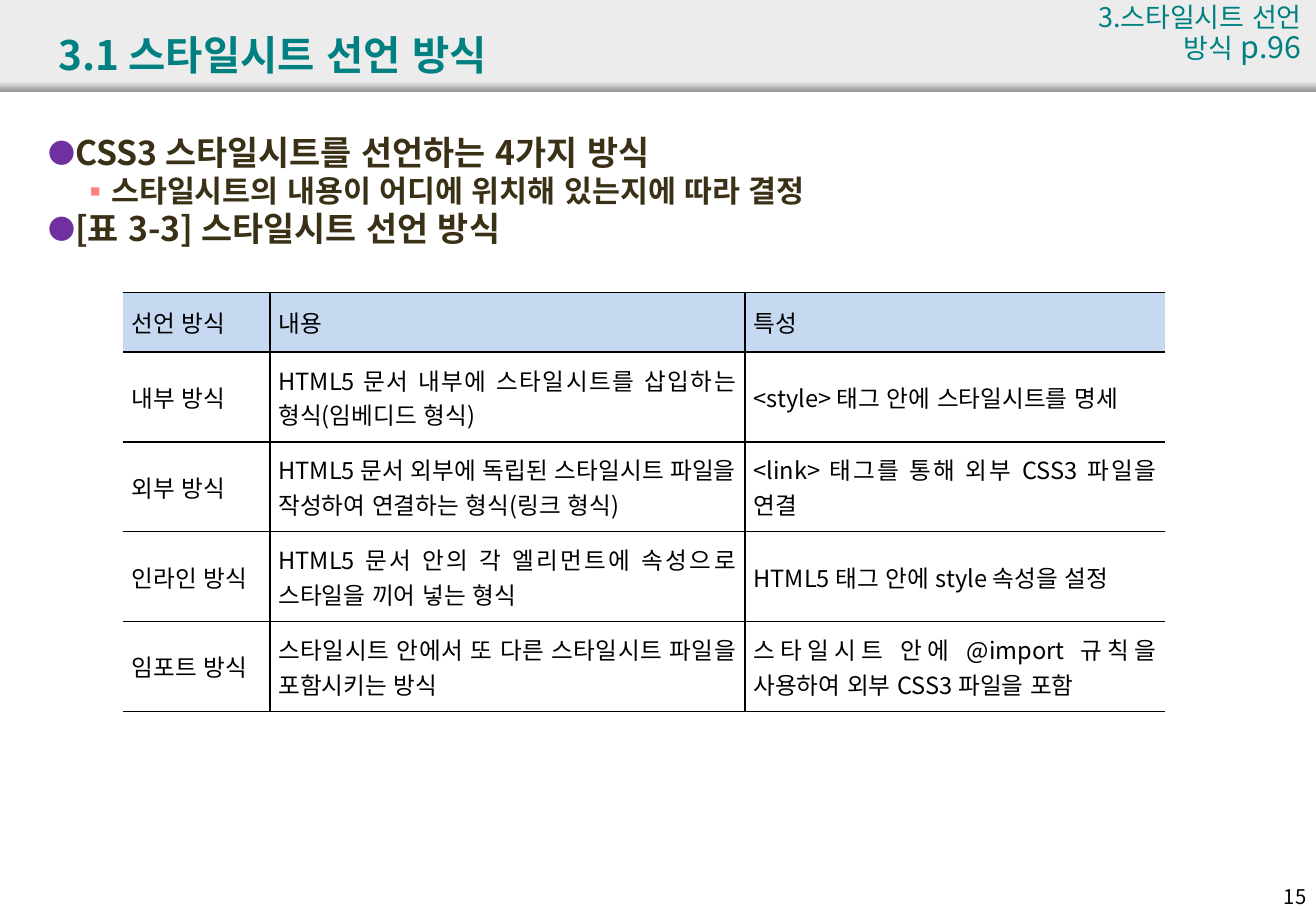
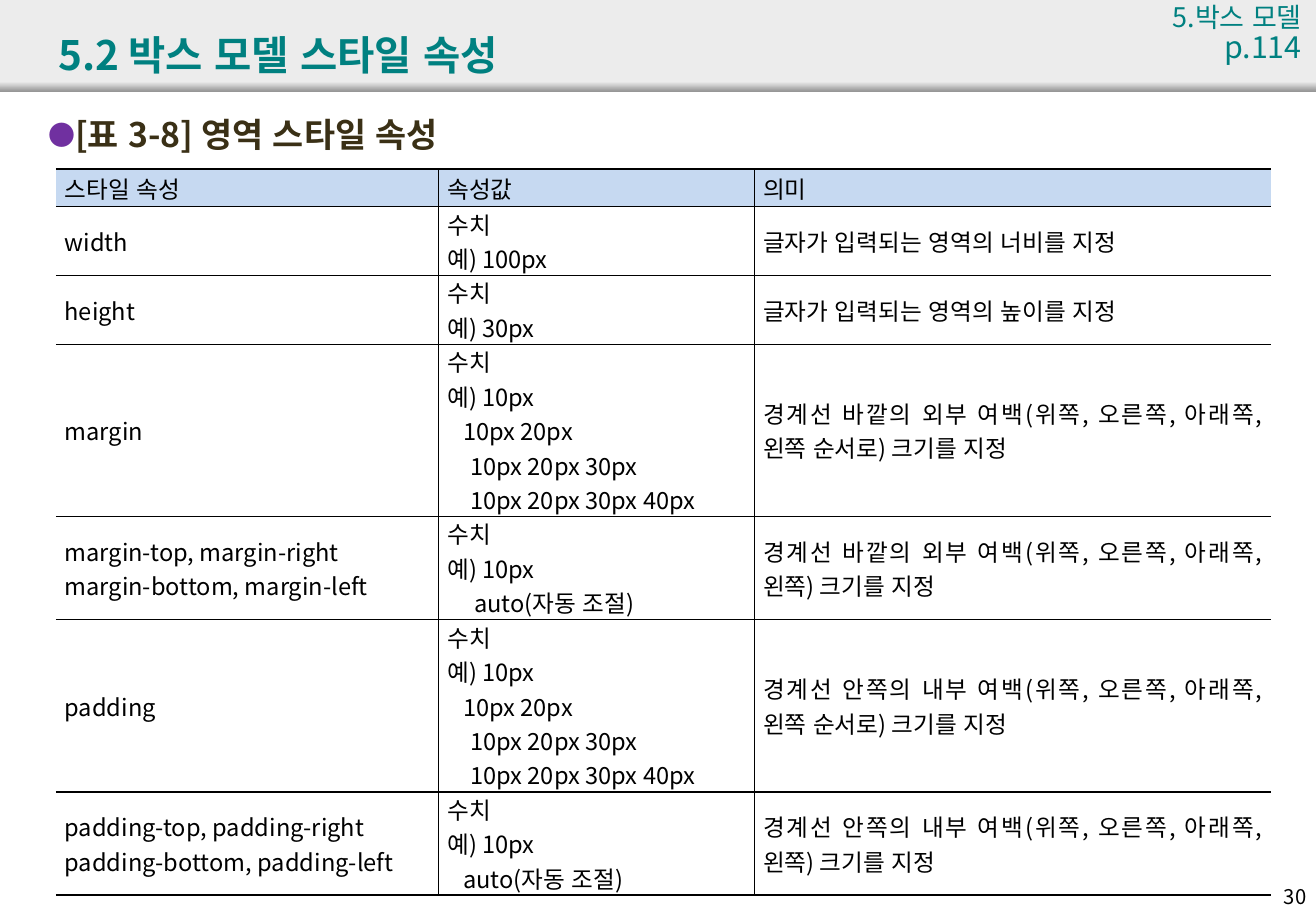
from pptx import Presentation
from pptx.dml.color import RGBColor as RGB
from pptx.enum.shapes import MSO_SHAPE as SHAPE
from pptx.enum.text import MSO_ANCHOR as ANCHOR, MSO_AUTO_SIZE as FIT, PP_ALIGN as ALIGN
from pptx.oxml.ns import qn
from pptx.util import Cm, Pt
from lxml.etree import SubElement as Sub

FONT = "Noto Sans CJK KR"
PLAIN = "{2D5ABB26-0587-4C30-8999-92F81FD0307C}"
COL = {"band": "ECECEC", "edge": "979797", "teal": "008080", "ink": "3A3016",
       "text": "000000", "head": "C6D9F1", "dot": "7030A0", "box": "FF8080"}

# Bullet levels: left margin, size, sign, sign colour, sign scale
LEVELS = [(0.51, 20, "●", "dot", 80000), (1.19, 18, "▪", "box", 100000)]

# Cell lines are text, or (text, first-line indent)
SIZES = ["수치", "예) 10px", ("10px 20px", 0.33), ("10px 20px 30px", 0.48),
         ("10px 20px 30px 40px", 0.48)]

PAGES = [
    dict(
        title="3.1 스타일시트 선언 방식", tag=["3.스타일시트 선언 방식 ", "p.96"],
        wide=5.31, num="15", top=2.72,
        points=[(0, "CSS3 스타일시트를 선언하는 4가지 방식"),
                (1, "스타일시트의 내용이 어디에 위치해 있는지에 따라 결정"),
                (0, "[표 3-3] 스타일시트 선언 방식")],
        at=(2.57, 6.12), cols=[3.07, 9.93, 8.79], highs=[1.24] + [1.88] * 4,
        rows=[
            ["선언 방식", "내용", "특성"],
            ["내부 방식", "HTML5 문서 내부에 스타일시트를 삽입하는 형식(임베디드 형식)",
             "<style> 태그 안에 스타일시트를 명세"],
            ["외부 방식", "HTML5 문서 외부에 독립된 스타일시트 파일을 작성하여 연결하는 형식(링크 형식)",
             "<link> 태그를 통해 외부 CSS3 파일을 연결"],
            ["인라인 방식", "HTML5 문서 안의 각 엘리먼트에 속성으로 스타일을 끼어 넣는 형식",
             "HTML5 태그 안에 style 속성을 설정"],
            ["임포트 방식", "스타일시트 안에서 또 다른 스타일시트 파일을 포함시키는 방식",
             "스타일시트 안에 @import 규칙을 사용하여 외부 CSS3 파일을 포함"],
        ]),
    dict(
        title="5.2 박스 모델 스타일 속성", tag=["5.박스 모델 ", "p.114"],
        wide=3.43, num="30", top=2.34,
        points=[(0, "[표 3-8] 영역 스타일 속성")],
        at=(1.17, 3.53), cols=[8, 6.6, 10.8],
        highs=[0.79] + [0.72 * n for n in (2, 2, 5, 3, 5, 3)],
        rows=[
            ["스타일 속성", "속성값", "의미"],
            ["width", ["수치", "예) 100px"], "글자가 입력되는 영역의 너비를 지정"],
            ["height", ["수치", "예) 30px"], "글자가 입력되는 영역의 높이를 지정"],
            ["margin", SIZES,
             "경계선 바깥의 외부 여백(위쪽, 오른쪽, 아래쪽, 왼쪽 순서로) 크기를 지정"],
            [["margin-top, margin-right", "margin-bottom, margin-left"],
             SIZES[:2] + [("auto(자동 조절)", 0.56)],
             "경계선 바깥의 외부 여백(위쪽, 오른쪽, 아래쪽, 왼쪽) 크기를 지정"],
            ["padding", SIZES,
             "경계선 안쪽의 내부 여백(위쪽, 오른쪽, 아래쪽, 왼쪽 순서로) 크기를 지정"],
            [["padding-top, padding-right", "padding-bottom, padding-left"],
             SIZES[:2] + [("auto(자동 조절)", 0.33)],
             "경계선 안쪽의 내부 여백(위쪽, 오른쪽, 아래쪽, 왼쪽) 크기를 지정"],
        ]),
]


def put(par, text, size, color, bold=False):
    run = par.add_run()
    run.text = text
    font = run.font
    font.size, font.bold, font.name = Pt(size), bold, FONT
    font.color.rgb = RGB.from_string(COL[color])
    props = run._r.get_or_add_rPr()
    props.set("lang", "ko-KR")
    Sub(props, qn("a:ea"), typeface=FONT)


def add_box(slide, left, top, wide, high):
    box = slide.shapes.add_textbox(Cm(left), Cm(top), Cm(wide), Cm(high))
    box.text_frame.word_wrap = True
    return box.text_frame


prs = Presentation()
prs.slide_width, prs.slide_height = Cm(27.51), Cm(19.05)
layout = prs.slide_layouts[5]
slides = [prs.slides.add_slide(layout) for _ in PAGES]

# Title band, kept on the shared layout
tree = layout.placeholders[0].element.getparent()
for spot, (top, high) in enumerate([(0, 1.9), (1.71, 0.2)], 2):
    band = slides[0].shapes.add_shape(SHAPE.RECTANGLE, 0, Cm(top), prs.slide_width, Cm(high))
    band.shadow.inherit = False
    band.line.fill.background()
    if top:
        band.fill.gradient()
        band.fill.gradient_angle = 270
        for stop, name in zip(band.fill.gradient_stops, ("band", "edge")):
            stop.color.rgb = RGB.from_string(COL[name])
    else:
        band.fill.solid()
        band.fill.fore_color.rgb = RGB.from_string(COL["band"])
    tree.insert(spot, band.element)

for slide, page in zip(slides, PAGES):
    # Title
    title = slide.shapes.title
    title.left, title.top, title.width, title.height = Cm(0.97), Cm(0.33), Cm(25.2), Cm(1.6)
    frame = title.text_frame
    frame.auto_size, frame.vertical_anchor = FIT.NONE, ANCHOR.MIDDLE
    frame.paragraphs[0].alignment = ALIGN.LEFT
    put(frame.paragraphs[0], page["title"], 24, "teal", True)

    # Bullet points
    frame = add_box(slide, 0.76, page["top"], 26.2, 15.8)
    for i, (level, text) in enumerate(page["points"]):
        par = frame.add_paragraph() if i else frame.paragraphs[0]
        left, size, sign, color, scale = LEVELS[level]
        par.level, par.line_spacing = level, 0.9
        par.space_before = Pt(2 if i else 0)
        props = par._p.get_or_add_pPr()
        props.set("marL", str(Cm(left)))
        props.set("indent", str(-Cm(0.51)))
        Sub(Sub(props, qn("a:buClr")), qn("a:srgbClr"), val=COL[color])
        Sub(props, qn("a:buSzPct"), val=str(scale))
        Sub(props, qn("a:buFont"), typeface=FONT)
        Sub(props, qn("a:buChar"), char=sign)
        put(par, text, size, "ink", True)

    # Table
    rows, cols, highs = page["rows"], page["cols"], page["highs"]
    left, top = page["at"]
    grid = slide.shapes.add_table(len(rows), len(cols), Cm(left), Cm(top),
                                  Cm(sum(cols)), Cm(sum(highs)))
    table = grid.table
    table.first_row = table.horz_banding = False
    for style in grid.element.iter(qn("a:tableStyleId")):
        style.text = PLAIN
    for col, wide in zip(table.columns, cols):
        col.width = Cm(wide)
    for r, (row, high) in enumerate(zip(rows, highs)):
        table.rows[r].height = Cm(high)
        for c, lines in enumerate(row):
            cell = table.cell(r, c)
            cell.vertical_anchor = ANCHOR.MIDDLE
            cell.margin_left = cell.margin_right = Cm(0.18)
            cell.margin_top = cell.margin_bottom = 0

            # Rules on every side but the outer left and right
            sides = ["lnL"] * (c > 0) + ["lnR"] * (c < len(cols) - 1) + ["lnT", "lnB"]
            for side in sides:
                line = Sub(cell._tc.get_or_add_tcPr(), qn("a:" + side), w=str(Pt(1)))
                Sub(Sub(line, qn("a:solidFill")), qn("a:srgbClr"), val=COL["text"])
            if r:
                cell.fill.background()
            else:
                cell.fill.solid()
                cell.fill.fore_color.rgb = RGB.from_string(COL["head"])

            frame = cell.text_frame
            for i, item in enumerate(lines if isinstance(lines, list) else [lines]):
                text, dent = item if isinstance(item, tuple) else (item, 0)
                par = frame.add_paragraph() if i else frame.paragraphs[0]
                par.alignment = ALIGN.JUSTIFY
                if dent:
                    par._p.get_or_add_pPr().set("indent", str(Cm(dent)))
                put(par, text, 14, "text")

    # Chapter tag
    par = add_box(slide, 27.46 - page["wide"], 0, page["wide"], 1.02).paragraphs[0]
    par.alignment, par.line_spacing = ALIGN.RIGHT, 0.85
    for text, size in zip(page["tag"], (16, 18)):
        put(par, text, size, "teal")

    # Page number
    par = add_box(slide, 26.16, 18.36, 1.4, 0.76).paragraphs[0]
    par.alignment = ALIGN.RIGHT
    put(par, page["num"], 12, "text")

prs.save("out.pptx")
